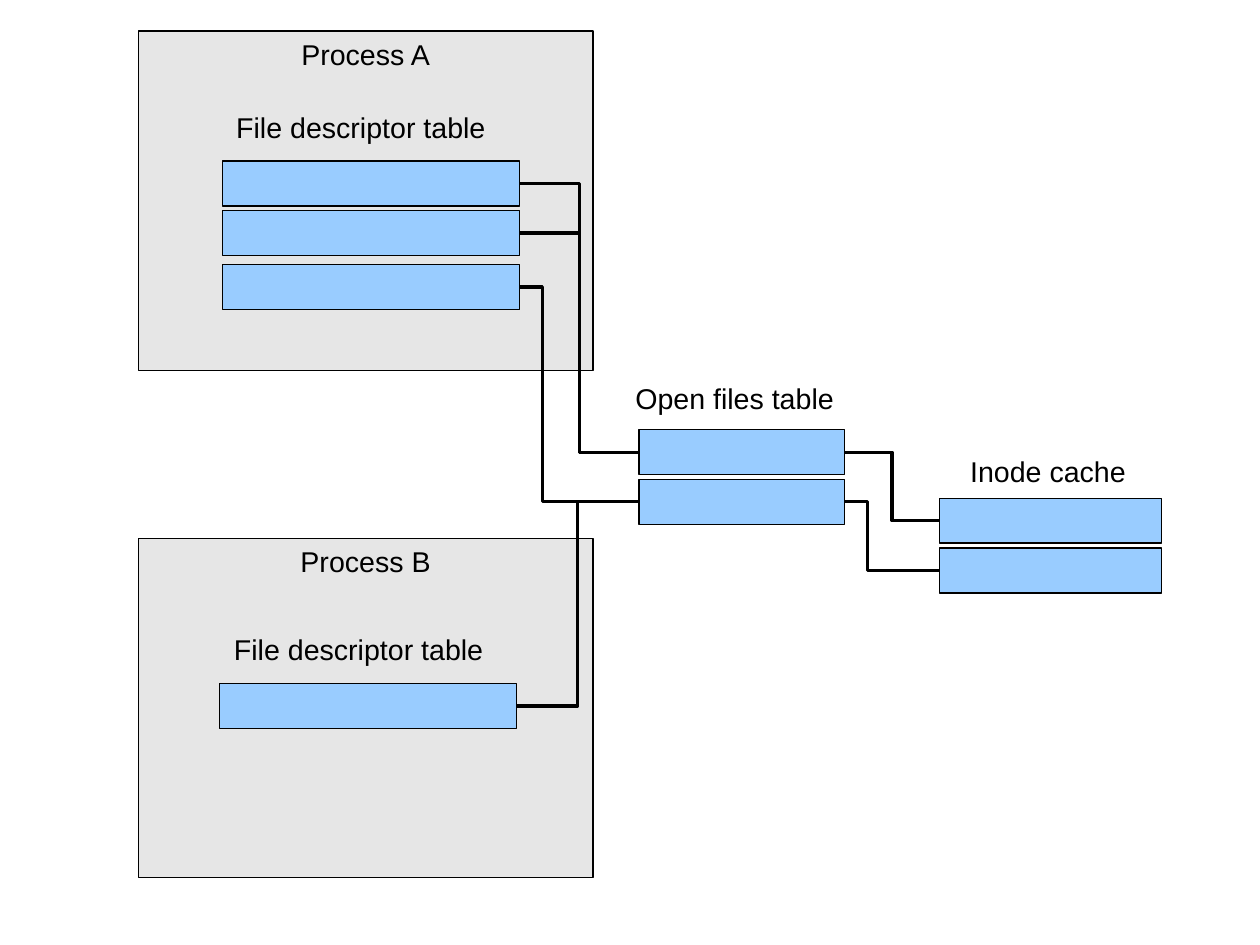
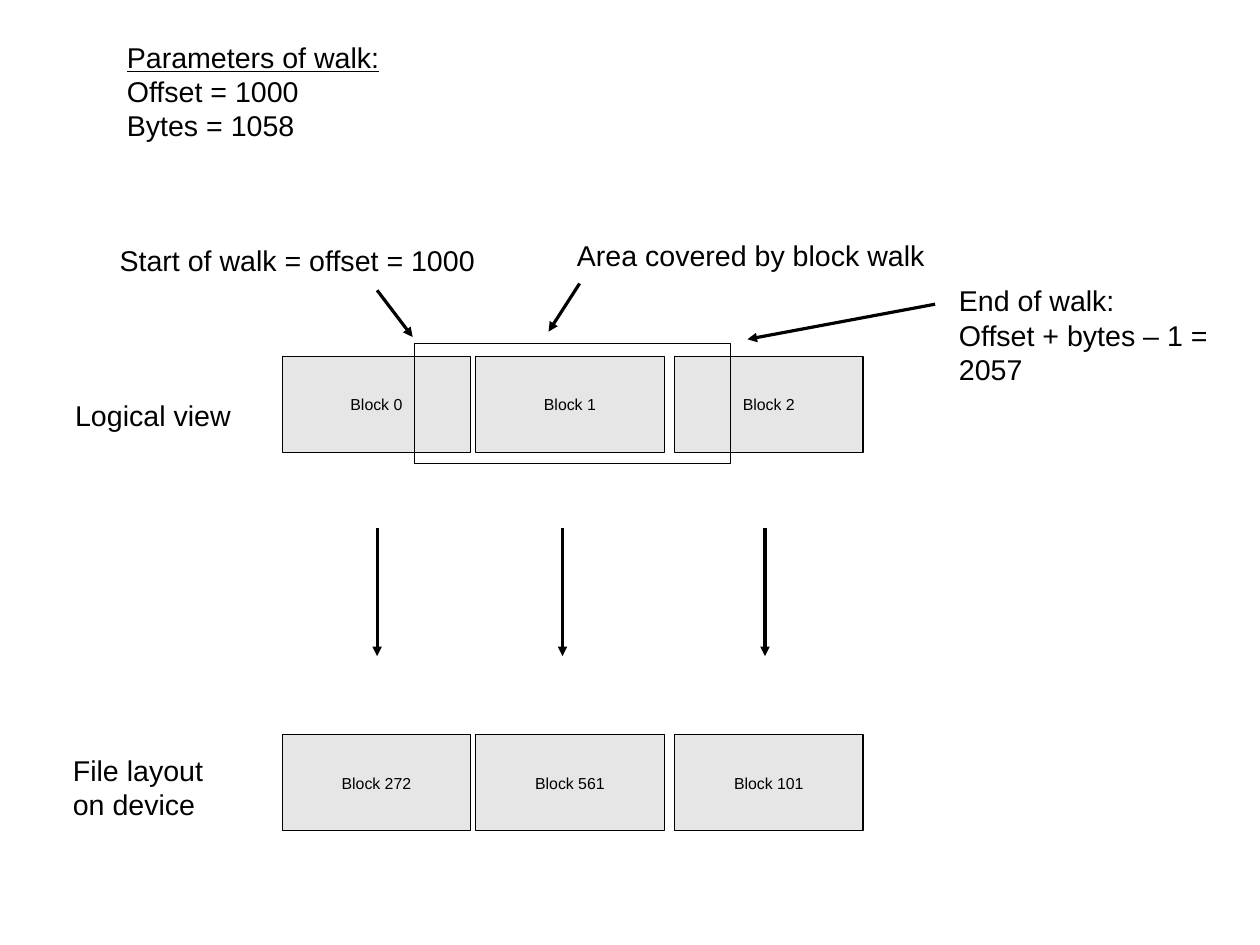
from dataclasses import dataclass

from lxml.etree import SubElement
from pptx import Presentation
from pptx.dml.color import RGBColor
from pptx.enum.shapes import MSO_CONNECTOR as Connector, MSO_SHAPE as Shape
from pptx.enum.text import MSO_ANCHOR as Anchor, MSO_AUTO_SIZE as AutoSize, PP_ALIGN as Align
from pptx.oxml.ns import qn
from pptx.util import Cm, Pt


@dataclass(frozen=True)
class Theme:
    font: str = "Arial"
    ink: RGBColor = RGBColor(0x00, 0x00, 0x00)
    panel: RGBColor = RGBColor(0xE6, 0xE6, 0xE6)
    entry: RGBColor = RGBColor(0x99, 0xCC, 0xFF)
    label_size: int = 18
    block_size: int = 10
    hairline: int = 0


THEME = Theme()
RIGHT, LEFT = 3, 1  # connection sites of a rectangle


def write(frame, lines, *, size=THEME.label_size, align=Align.LEFT,
          anchor=Anchor.TOP, wrap=True, underline_first=False):
    """Fill a text frame with one paragraph per line."""
    frame.word_wrap = wrap
    frame.vertical_anchor = anchor
    for index, line in enumerate(lines):
        paragraph = frame.paragraphs[0] if index == 0 else frame.add_paragraph()
        paragraph.alignment = align
        run = paragraph.add_run()
        run.text = line
        run.font.name = THEME.font
        run.font.size = Pt(size)
        run.font.color.rgb = THEME.ink
        if underline_first and index == 0:
            run.font.underline = True


class Diagram:
    """Holds the presentation, its style and the slide being drawn."""

    def __init__(self, width, height, theme=THEME):
        self.theme = theme
        self.deck = Presentation()
        self.deck.slide_width, self.deck.slide_height = Cm(width), Cm(height)
        self.slide = None

    def new_slide(self):
        self.slide = self.deck.slides.add_slide(self.deck.slide_layouts[6])

    def outline(self, line):
        line.color.rgb = self.theme.ink
        line.width = Pt(self.theme.hairline)

    def box(self, left, top, width, height, fill=None, text=None, **text_format):
        box = self.slide.shapes.add_shape(
            Shape.RECTANGLE, Cm(left), Cm(top), Cm(width), Cm(height))
        box.shadow.inherit = False
        if fill is None:
            box.fill.background()
        else:
            box.fill.solid()
            box.fill.fore_color.rgb = fill
        self.outline(box.line)
        if text:
            write(box.text_frame, [text], align=Align.CENTER, wrap=False, **text_format)
        return box

    def entries(self, left, tops, width):
        return [self.box(left, top, width, 1, self.theme.entry) for top in tops]

    def label(self, left, top, width, *lines, height=0.97, **text_format):
        label = self.slide.shapes.add_textbox(Cm(left), Cm(top), Cm(width), Cm(height))
        write(label.text_frame, lines, **text_format)
        label.text_frame.auto_size = AutoSize.SHAPE_TO_FIT_TEXT

    def connector(self, kind, start=(0, 0), end=(0, 0)):
        connector = self.slide.shapes.add_connector(
            kind, *(Cm(value) for value in (*start, *end)))
        self.outline(connector.line)
        SubElement(connector._element.spPr, qn("a:effectLst"))
        return connector

    def arrow(self, start, end):
        arrow = self.connector(Connector.STRAIGHT, start, end)
        SubElement(arrow.line._get_or_add_ln(), qn("a:tailEnd"), type="triangle")

    def elbow(self, source, target, bend=0.5):
        """Join two boxes; bend is the share of the way to the turn."""
        elbow = self.connector(Connector.ELBOW)
        elbow.begin_connect(source, RIGHT)
        elbow.end_connect(target, LEFT)
        geometry = elbow._element.spPr.find(qn("a:prstGeom"))
        values = geometry.find(qn("a:avLst"))
        if values is None:
            values = SubElement(geometry, qn("a:avLst"))
        SubElement(values, qn("a:gd"), name="adj1", fmla=f"val {round(bend * 100000)}")


def draw_file_tables(diagram):
    diagram.new_slide()

    # Processes
    for name, top in (("Process B", 11.96), ("Process A", 0.69)):
        diagram.box(3.07, top, 10.11, 7.54, THEME.panel, name)

    # Tables
    open_files = diagram.entries(14.2, (9.55, 10.65), 4.57)
    inodes = diagram.entries(20.88, (11.07, 12.18), 4.93)
    descriptors_a = diagram.entries(4.95, (3.58, 4.68, 5.88), 6.6)
    [descriptor_b] = diagram.entries(4.88, (15.19,), 6.6)

    # Table headings
    diagram.label(13.87, 8.33, 5.61, "Open files table")
    diagram.label(21.31, 9.96, 5.61, "Inode cache")
    for left, top in ((5, 2.31), (4.95, 13.92)):
        diagram.label(left, top, 6.55, "File descriptor table")

    # References between tables
    first_file, second_file = open_files
    for source, target, bend in (
        (descriptors_a[0], first_file, 0.5),
        (descriptors_a[1], first_file, 0.5),
        (descriptors_a[2], second_file, 0.19),
        (descriptor_b, second_file, 0.5),
        (first_file, inodes[0], 0.5),
        (second_file, inodes[1], 0.24),
    ):
        diagram.elbow(source, target, bend)


def draw_block_walk(diagram):
    diagram.new_slide()

    # Rows of blocks
    diagram.label(1.42, 8.71, 4.27, "Logical view")
    diagram.label(1.37, 16.61, 4.27, "File layout on device", height=1.68)
    for top, numbers in ((7.92, (0, 1, 2)), (16.33, (272, 561, 101))):
        for left, number in zip((6.27, 10.57, 14.99), numbers):
            diagram.box(left, top, 4.19, 2.13, THEME.panel, f"Block {number}",
                        size=THEME.block_size, anchor=Anchor.MIDDLE)

    # Mapping from logical to device blocks
    for x in (8.38, 12.5, 17):
        diagram.arrow((x, 11.73), (x, 14.58))

    # Walked area and its callouts
    diagram.box(9.22, 7.64, 7.01, 2.67)
    diagram.arrow((12.88, 6.3), (12.19, 7.37))
    diagram.label(12.57, 5.16, 10.19, "Area covered by block walk")
    diagram.arrow((8.38, 6.45), (9.17, 7.49))
    diagram.label(2.41, 5.28, 10.19, "Start of walk = offset = 1000")
    diagram.arrow((20.78, 6.76), (16.61, 7.54))
    diagram.label(21.06, 6.17, 6.93, "End of walk:", "Offset + bytes – 1 = 2057",
                  height=2.39)

    # Parameters
    diagram.label(2.57, 0.76, 19.48, "Parameters of walk:", "Offset = 1000",
                  "Bytes = 1058", height=2.39, underline_first=True)


def main():
    diagram = Diagram(28, 21)
    draw_file_tables(diagram)
    draw_block_walk(diagram)
    diagram.deck.save("out.pptx")


if __name__ == "__main__":
    main()
